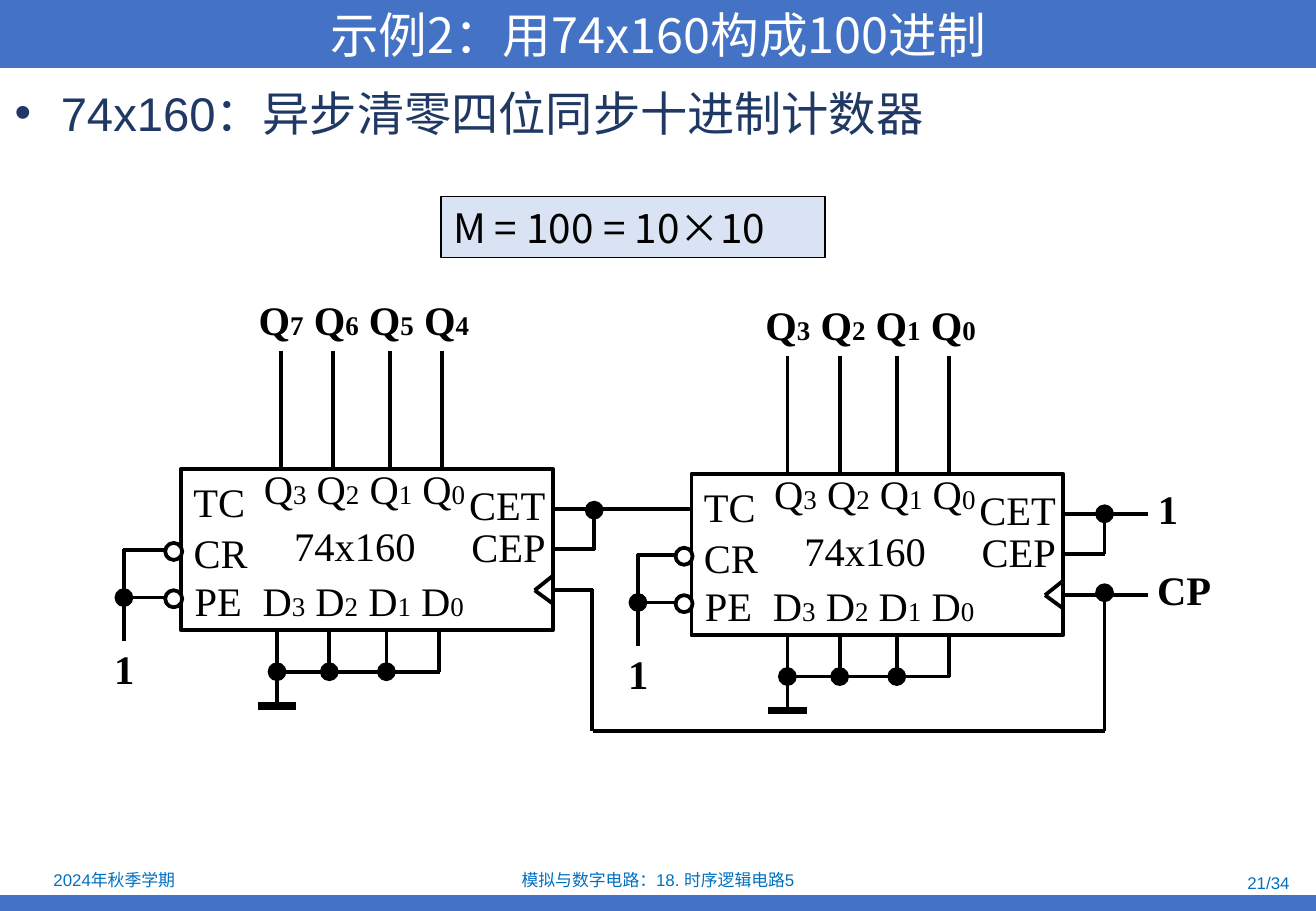
"""Build the slide on a base-100 counter made of two decade counters."""
import pptx
import pptx.dml.color
import pptx.enum.shapes
import pptx.enum.text
import pptx.oxml.ns
import pptx.util
from lxml import etree

PX = 9144
COLORS = {"bar": "4472C4", "white": "FFFFFF", "body": "203864",
          "footer": "0070C0", "black": "000000", "formula": "DAE3F3"}
SANS, CJK, SERIF = "Arial", "Noto Sans CJK SC", "Times New Roman"
CHIP_WIDTH, CHIP_HEIGHT = 306, 133
PIN_OFFSETS = (79, 122, 169, 212)
ALIGN = pptx.enum.text.PP_ALIGN
ANCHOR = pptx.enum.text.MSO_ANCHOR
SHAPE = pptx.enum.shapes.MSO_SHAPE
qn = pptx.oxml.ns.qn


def rgb(name):
    return pptx.dml.color.RGBColor.from_string(COLORS[name])


def place(box, x, y, width, height):
    box.left, box.top, box.width, box.height = (v * PX for v in (x, y, width, height))


def style(paragraph, face, size, color, bold=False, align=ALIGN.CENTER):
    paragraph.alignment = align
    font = paragraph.font
    font.name, font.bold = face, bold
    if size:
        font.size = pptx.util.Pt(size)
    font.color.rgb = rgb(color)
    east_asian = etree.SubElement(font._element, qn("a:ea"))
    east_asian.set("typeface", CJK)


def add_label(slide, text, x, y, width, height=50, face=SERIF, size=24,
              color="black", bold=False, align=ALIGN.CENTER, wrap=False):
    label = slide.shapes.add_textbox(x * PX, y * PX, width * PX, height * PX)
    frame = label.text_frame
    frame.word_wrap = wrap
    frame.vertical_anchor = ANCHOR.MIDDLE
    paragraph = frame.paragraphs[0]
    paragraph.text = text
    style(paragraph, face, size, color, bold, align)


def add_signal(slide, text, x, y, width):
    signal = slide.shapes.add_textbox(x * PX, y * PX, width * PX, 36 * PX)
    frame = signal.text_frame
    frame.word_wrap = True
    frame.margin_left = frame.margin_right = frame.margin_top = frame.margin_bottom = 0
    paragraph = frame.paragraphs[0]
    paragraph.text = text
    paragraph.line_spacing = 0.9
    style(paragraph, SERIF, 24, "black", bold=True)


def add_bus_label(slide, letter, digits, x, y, width, bold=False):
    bus = slide.shapes.add_textbox(x * PX, y * PX, width * PX, 50 * PX)
    frame = bus.text_frame
    frame.word_wrap = False
    frame.vertical_anchor = ANCHOR.MIDDLE
    paragraph = frame.paragraphs[0]
    style(paragraph, SERIF, None, "black", bold)
    for index, digit in enumerate(digits):
        prefix = " " if index else ""
        for text, size in ((prefix + letter, 24), (digit, 16)):
            run = paragraph.add_run()
            run.text = text
            run.font.size = pptx.util.Pt(size)


def add_block(slide, kind, x, y, width, height, fill=None, line=None, weight=2.25):
    block = slide.shapes.add_shape(kind, x * PX, y * PX, width * PX, height * PX)
    block.shadow.inherit = False
    if fill:
        block.fill.solid()
        block.fill.fore_color.rgb = rgb(fill)
    else:
        block.fill.background()
    if line:
        block.line.color.rgb = rgb(line)
        block.line.width = pptx.util.Pt(weight)
    else:
        block.line.fill.background()
    return block


def add_wire(slide, start, end, weight=2.25, dot=False):
    wire = slide.shapes.add_connector(
        pptx.enum.shapes.MSO_CONNECTOR.STRAIGHT, *(v * PX for v in (*start, *end)))
    wire.line.color.rgb = rgb("black")
    wire.line.width = pptx.util.Pt(weight)
    properties = wire._element.spPr
    if dot:
        etree.SubElement(properties.find(qn("a:ln")), qn("a:tailEnd"),
                         type="oval", w="lg", len="lg")
    etree.SubElement(properties, qn("a:effectLst"))


def add_ground(slide, x, y):
    pins = [x + offset for offset in PIN_OFFSETS]
    top, rail, ground = y + CHIP_HEIGHT, y + 167, y + 195
    add_wire(slide, (pins[0], top), (pins[0], ground))
    for pin in pins[1:]:
        add_wire(slide, (pin, top), (pin, rail), dot=pin != pins[-1])
    add_wire(slide, (pins[-1] + 1, rail), (pins[0], rail), dot=True)
    add_wire(slide, (pins[0] - 16, ground), (pins[0] + 16, ground), weight=4.5)


def add_tied_inputs(slide, x, y, tie):
    add_wire(slide, (tie - 1, y + 67), (x - 7, y + 67))
    add_wire(slide, (x - 7, y + 106), (tie, y + 106), dot=True)
    add_wire(slide, (tie, y + 142), (tie, y + 66))
    for top in (61, 100):
        add_block(slide, SHAPE.OVAL, x - 13, y + top, 14, 14, "white", "black")
    add_signal(slide, "1", tie - 8, y + 149, 16)


def add_counter(slide, x, y, tie, outputs, output_shift):
    add_block(slide, SHAPE.RECTANGLE, x, y, CHIP_WIDTH, CHIP_HEIGHT, line="black")
    for text, left, top, width in (
            ("TC", 0, 2, 63), ("CR", 0, 44, 65), ("PE", 1, 83, 59),
            ("CET", 227, 4, 83), ("CEP", 229, 39, 81), ("74x160", 83, 38, 120)):
        add_label(slide, text, x + left, y + top, width)
    add_bus_label(slide, "Q", "3210", x + 58, y - 9, 186)
    add_bus_label(slide, "D", "3210", x + 57, y + 83, 186)
    add_bus_label(slide, "Q", outputs, x + 51 + output_shift, y - 148, 193, bold=True)
    for offset in PIN_OFFSETS:
        pin = x + offset + output_shift
        add_wire(slide, (pin, y), (pin, y - 97))
    for edge in (88, 111):
        add_wire(slide, (x + CHIP_WIDTH, y + edge), (x + 291, y + 100))
    add_tied_inputs(slide, x, y, tie)
    add_ground(slide, x, y)


def add_interconnect(slide):
    for start, end, dot in (
            ((455, 419), (569, 419), False),
            ((457, 452), (490, 452), False),
            ((489, 453), (489, 420), True),
            ((455, 486), (488, 486), False),
            ((487, 602), (487, 485), False),
            ((488, 602), (909, 602), False),
            ((909, 602), (909, 488), True),
            ((876, 423), (945, 423), False),
            ((876, 456), (909, 456), False),
            ((909, 456), (909, 423), True),
            ((876, 490), (945, 490), False)):
        add_wire(slide, start, end, dot=dot)
    add_signal(slide, "1", 953, 403, 16)
    add_signal(slide, "CP", 945, 470, 59)


def add_heading(slide):
    title, body = slide.placeholders
    place(title, 0, 0, 1083, 56)
    title.fill.solid()
    title.fill.fore_color.rgb = rgb("bar")
    title.text_frame.text = "示例2：用74x160构成100进制"
    title.text_frame.vertical_anchor = ANCHOR.MIDDLE
    style(title.text_frame.paragraphs[0], CJK, 28.8, "white")

    place(body, 2, 64, 1081, 650)
    body.text_frame.text = "74x160：异步清零四位同步十进制计数器"
    feature = body.text_frame.paragraphs[0]
    feature.space_before = pptx.util.Pt(0)
    properties = feature._p.get_or_add_pPr()
    properties.set("marL", str(38 * PX))
    properties.set("indent", str(-38 * PX))
    etree.SubElement(properties, qn("a:buChar"), char="•")
    style(feature, SANS, 28, "body", align=ALIGN.LEFT)


def add_footer(slide):
    add_block(slide, SHAPE.RECTANGLE, 0, 737, 1083, 13, "bar")
    for text, x, y, width, height, align in (
            ("2024年秋季学期", 2, 713, 184, 23, ALIGN.CENTER),
            ("模拟与数字电路：18. 时序逻辑电路5", 370, 714, 343, 21, ALIGN.CENTER),
            ("21/34", 818, 716, 253, 21, ALIGN.RIGHT)):
        add_label(slide, text, x, y, width, height, SANS, 10, "footer",
                  align=align, wrap=True)


def main():
    deck = pptx.Presentation()
    deck.slide_width, deck.slide_height = 1083 * PX, 750 * PX
    slide = deck.slides.add_slide(deck.slide_layouts[1])
    add_heading(slide)
    add_footer(slide)
    formula = add_block(slide, SHAPE.RECTANGLE, 363, 162, 316, 50, "formula", "black", 0.75)
    formula.text_frame.text = "M = 100 = 10×10"
    style(formula.text_frame.paragraphs[0], CJK, 24, "black", align=ALIGN.LEFT)
    add_counter(slide, 149, 386, 102, "7654", 3)
    add_counter(slide, 569, 390, 525, "3210", 0)
    add_interconnect(slide)
    deck.save("out.pptx")


if __name__ == "__main__":
    main()
